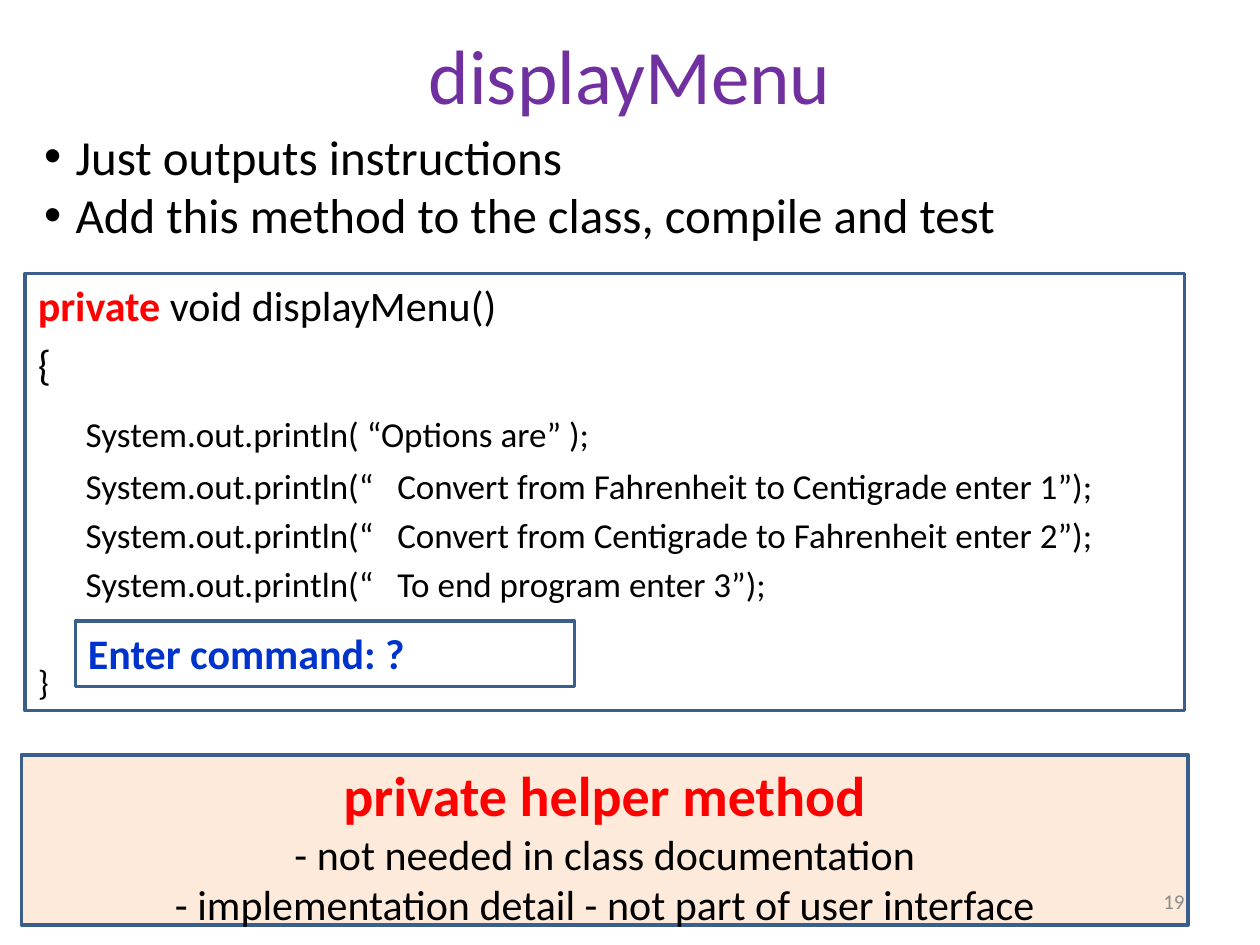
from dataclasses import dataclass

from lxml.etree import SubElement
from pptx import Presentation
from pptx.dml.color import RGBColor
from pptx.enum.shapes import MSO_SHAPE
from pptx.enum.text import MSO_ANCHOR, MSO_AUTO_SIZE, PP_ALIGN
from pptx.oxml.ns import qn
from pptx.util import Inches, Pt


@dataclass(frozen=True)
class Theme:
    font: str = "Calibri"
    purple: str = "7030A0"
    black: str = "000000"
    red: str = "FF0000"
    blue: str = "0033CC"
    gray: str = "8C8C8C"
    white: str = "FFFFFF"
    peach: str = "FDEADA"
    border: str = "3A5F8C"
    border_width: float = 2
    title_size: float = 44
    heading_size: float = 32
    list_size: float = 28
    text_size: float = 24
    code_size: float = 20
    number_size: float = 12


THEME = Theme()


def place(shape, box):
    for side, length in zip(("left", "top", "width", "height"), box):
        setattr(shape, side, Inches(length))


def decorate(shape, fill=None, border=None):
    if fill:
        shape.fill.solid()
        shape.fill.fore_color.rgb = RGBColor.from_string(fill)
    if border:
        shape.line.color.rgb = RGBColor.from_string(border)
        shape.line.width = Pt(THEME.border_width)


def prepare(shape, anchor=MSO_ANCHOR.TOP):
    frame = shape.text_frame
    frame_format = {
        "word_wrap": True,
        "auto_size": MSO_AUTO_SIZE.NONE,
        "vertical_anchor": anchor,
    }
    for name, value in frame_format.items():
        setattr(frame, name, value)
    return frame


def write(frame, runs, first=False, align=PP_ALIGN.LEFT, before=0, margin=0, hanging=0, bullet=None):
    paragraph = frame.paragraphs[0] if first else frame.add_paragraph()
    paragraph.alignment = align
    paragraph.space_before = Pt(before)
    properties = paragraph._p.get_or_add_pPr()
    properties.set("marL", str(Inches(margin)))
    properties.set("indent", str(-Inches(hanging)))
    if bullet:
        SubElement(properties, qn("a:buChar")).set("char", bullet)
    else:
        SubElement(properties, qn("a:buNone"))
    for words, size, color, bold in runs:
        run = paragraph.add_run()
        run.text = words
        font_format = {"name": THEME.font, "size": Pt(size), "bold": bold}
        for name, value in font_format.items():
            setattr(run.font, name, value)
        run.font.color.rgb = RGBColor.from_string(color)


def add_panel(slide, box, fill):
    panel = slide.shapes.add_shape(MSO_SHAPE.RECTANGLE, *map(Inches, box))
    panel.shadow.inherit = False
    decorate(panel, fill, THEME.border)
    return prepare(panel)


def fill_title(title, box):
    place(title, box)
    frame = prepare(title, MSO_ANCHOR.MIDDLE)
    write(frame, [("displayMenu", THEME.title_size, THEME.purple, False)], True, PP_ALIGN.CENTER)


def fill_tasks(tasks, box):
    place(tasks, box)
    decorate(tasks, THEME.white)
    frame = prepare(tasks)
    lines = ("Just outputs instructions", "Add this method to the class, compile and test")
    for index, line in enumerate(lines):
        write(frame, [(line, THEME.list_size, THEME.black, False)], index == 0,
              margin=0.5, hanging=0.25, bullet="•")


def fill_code(code, box):
    place(code, box)
    decorate(code, border=THEME.border)
    frame = prepare(code)
    signature = [
        ("private", THEME.text_size, THEME.red, True),
        (" void displayMenu()", THEME.text_size, THEME.black, False),
    ]
    write(frame, signature, True)
    write(frame, [("{", THEME.text_size, THEME.black, False)], before=4.8)
    statements = (
        ("System.out.println( “Options are” );", 13.2),
        ("System.out.println(“   Convert from Fahrenheit to Centigrade enter 1”);", 6.2),
        ("System.out.println(“   Convert from Centigrade to Fahrenheit enter 2”);", 4),
        ("System.out.println(“   To end program enter 3”);", 4),
    )
    for statement, before in statements:
        write(frame, [(statement, THEME.code_size, THEME.black, False)], before=before, margin=0.38)
    write(frame, [("}", THEME.code_size, THEME.black, False)], before=32)


def add_prompt(slide, box):
    frame = add_panel(slide, box, THEME.white)
    write(frame, [("Enter command: ?", THEME.text_size, THEME.blue, True)], True)


def add_helper_note(slide, box):
    frame = add_panel(slide, box, THEME.peach)
    heading = ("private helper method", THEME.heading_size, THEME.red, True)
    write(frame, [heading], True, PP_ALIGN.CENTER)
    for reason in ("- not needed in class documentation",
                   "- implementation detail - not part of user interface"):
        write(frame, [(reason, THEME.text_size, THEME.black, False)], align=PP_ALIGN.CENTER)


def add_page_number(slide, box):
    page_number = slide.shapes.add_textbox(*map(Inches, box))
    frame = prepare(page_number, MSO_ANCHOR.MIDDLE)
    write(frame, [("19", THEME.number_size, THEME.gray, False)], True, PP_ALIGN.RIGHT)


def main():
    presentation = Presentation()
    presentation.slide_width = Inches(10)
    presentation.slide_height = Inches(7.5)
    slide = presentation.slides.add_slide(presentation.slide_layouts.get_by_name("Two Content"))
    title, tasks, code = slide.placeholders
    fill_title(title, (0.5, 0.22, 9, 0.73))
    fill_tasks(tasks, (0, 0.95, 9.88, 1.5))
    fill_code(code, (0.2, 2.17, 9.2, 3.47))
    add_prompt(slide, (0.6, 4.93, 3.96, 0.52))
    add_helper_note(slide, (0.17, 5.99, 9.26, 1.35))
    add_page_number(slide, (7.17, 6.95, 2.33, 0.4))
    presentation.save("out.pptx")


if __name__ == "__main__":
    main()
